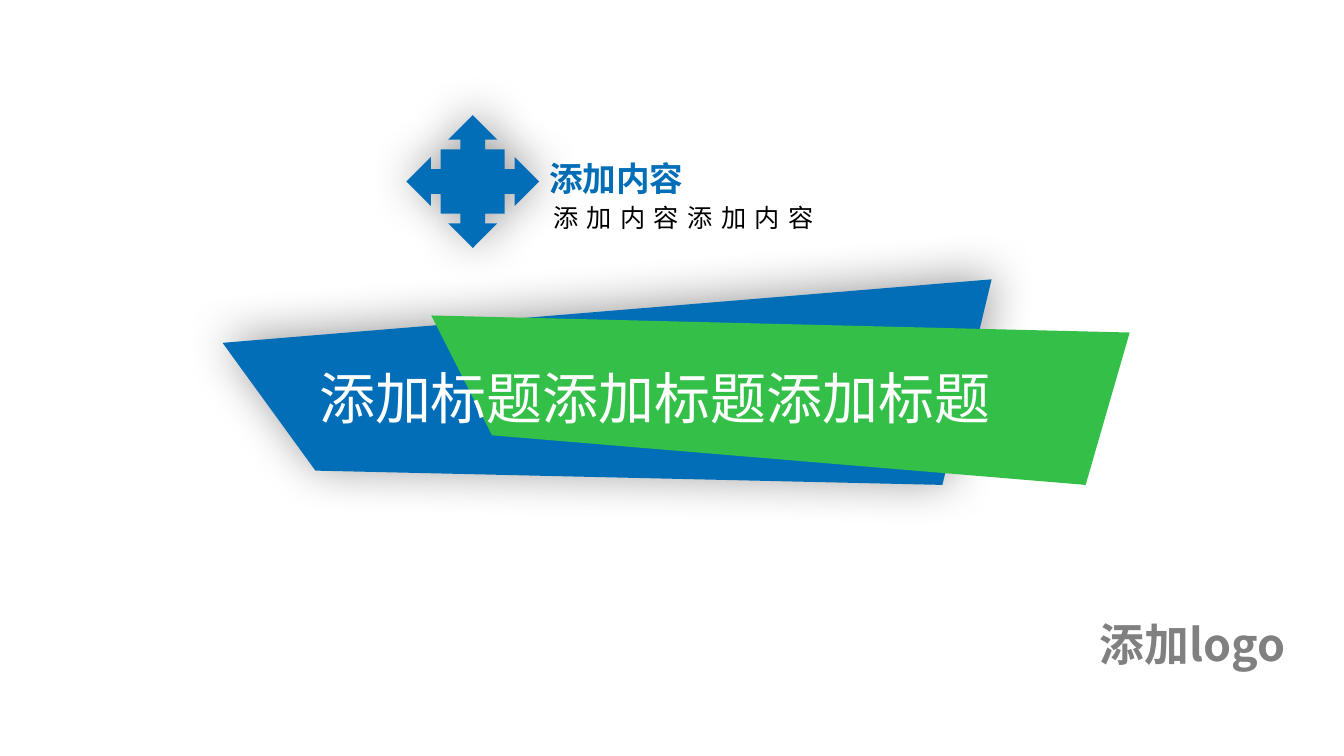
from dataclasses import dataclass, field
from lxml.etree import SubElement
from pptx import Presentation
from pptx.dml.color import RGBColor
from pptx.enum.shapes import MSO_SHAPE
from pptx.enum.text import MSO_ANCHOR, MSO_AUTO_SIZE, PP_ALIGN
from pptx.oxml.ns import qn
from pptx.shapes.autoshape import Shape
from pptx.util import Cm, Pt

BLUE = RGBColor(0x03, 0x6E, 0xB8)
GREEN = RGBColor(0x34, 0xBF, 0x49)
WHITE = RGBColor(0xFF, 0xFF, 0xFF)
BLACK = RGBColor(0, 0, 0)
GREY = RGBColor(0x80, 0x80, 0x80)
FACE = "Noto Sans CJK SC"

Box = tuple[float, float, float, float]


@dataclass
class Label:
    text: str
    box: Box
    size: int
    color: RGBColor
    form: dict = field(default_factory=dict)
    align: PP_ALIGN = PP_ALIGN.LEFT
    anchor: MSO_ANCHOR = MSO_ANCHOR.TOP
    gap: int = 0


@dataclass
class Band:
    points: list[tuple[float, float]]
    color: RGBColor
    shade: bool = False


BANDS = [
    Band([(5.61, 8.64), (7.95, 11.86), (23.75, 12.22), (24.99, 7.04)], BLUE, True),
    Band([(10.87, 7.95), (12.4, 10.97), (27.36, 12.22), (28.47, 8.38)], GREEN),
]
TITLE = Label("添加标题添加标题添加标题", (7.09, 9.04, 18.82, 3.68), 40, WHITE,
              align=PP_ALIGN.CENTER)
NOTES = [
    Label("添加内容添加内容", (13.69, 4.98, 10.03, 1.02), 18, BLACK, gap=6),
    Label("添加内容", (13.59, 3.86, 8.28, 1.27), 24, BLUE, {"bold": True},
          PP_ALIGN.JUSTIFY),
]
ARROWS: Box = (10.24, 2.9, 3.35, 3.35)
MARK = Label("添加logo", (27.46, 15.39, 7.09, 1.65), 32, GREY, {"bold": True},
             anchor=MSO_ANCHOR.MIDDLE)


def paint(shape: Shape, color: RGBColor, shade: bool) -> None:
    shape.fill.solid()
    shape.fill.fore_color.rgb = color
    shape.line.fill.background()
    shape.shadow.inherit = False
    if shade:
        effect = shape._element.spPr.find(qn("a:effectLst"))
        outer = SubElement(effect, qn("a:outerShdw"), blurRad=str(Pt(34)),
                           dist=str(Pt(3)), dir="18900000", algn="bl",
                           rotWithShape="0")
        black = SubElement(outer, qn("a:prstClr"), val="black")
        SubElement(black, qn("a:alpha"), val="40000")


def band(shapes, item: Band) -> None:
    points = [(Cm(x), Cm(y)) for x, y in item.points]
    pen = shapes.build_freeform(*points[0])
    pen.add_line_segments(points[1:], close=True)
    paint(pen.convert_to_shape(), item.color, item.shade)


def write(shape: Shape, item: Label) -> None:
    places = map(Cm, item.box)
    for name, value in zip(("left", "top", "width", "height"), places):
        setattr(shape, name, value)
    frame = shape.text_frame
    form = {"word_wrap": True, "auto_size": MSO_AUTO_SIZE.NONE,
            "vertical_anchor": item.anchor}
    for name, value in form.items():
        setattr(frame, name, value)
    para = frame.paragraphs[0]
    para.alignment = item.align
    run = para.add_run()
    run.text = item.text
    run.font.color.rgb = item.color
    for name, value in ({"name": FACE, "size": Pt(item.size)} | item.form).items():
        setattr(run.font, name, value)
    props = run._r.get_or_add_rPr()
    SubElement(props, qn("a:ea"), typeface=FACE)
    if item.gap:
        props.set("spc", str(item.gap * 100))


def label(shapes, item: Label) -> None:
    write(shapes.add_textbox(*map(Cm, item.box)), item)


def main() -> None:
    deck = Presentation()
    deck.slide_width, deck.slide_height = Cm(33.87), Cm(19.05)
    slide = deck.slides.add_slide(deck.slide_layouts[5])
    shapes = slide.shapes
    for item in BANDS:
        band(shapes, item)
    title = shapes.title
    write(title, TITLE)
    shapes._spTree.append(title._element)
    group = shapes.add_group_shape().shapes
    for item in NOTES:
        label(group, item)
    arrows = group.add_shape(MSO_SHAPE.QUAD_ARROW_CALLOUT, *map(Cm, ARROWS))
    paint(arrows, BLUE, True)
    label(shapes, MARK)
    deck.save("out.pptx")


if __name__ == "__main__":
    main()
